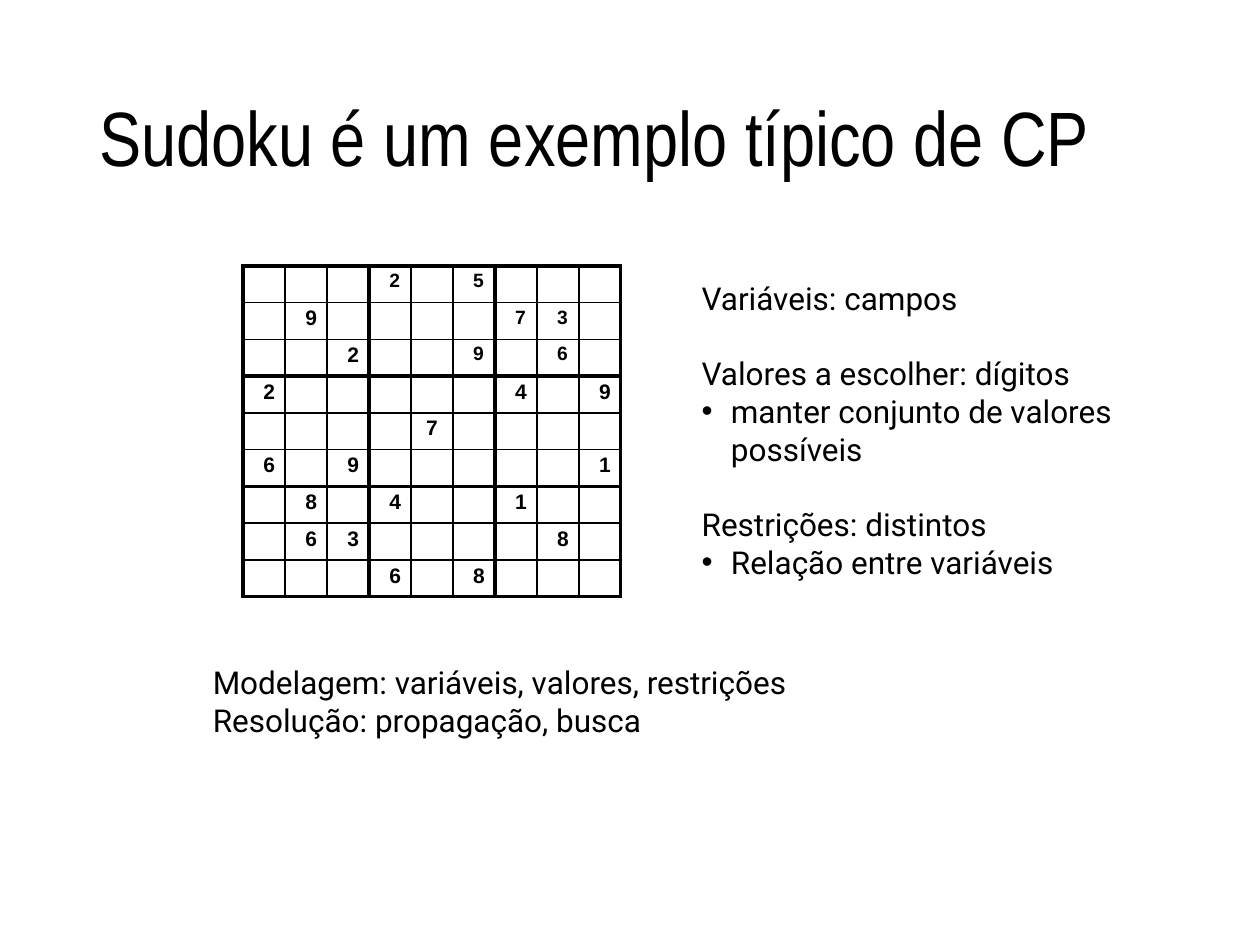
from lxml import etree
from pptx import Presentation
from pptx import util as u
from pptx.dml.color import RGBColor
from pptx.enum import text
from pptx.oxml import ns

INK = "000000"
CLUES = [
    "...2.5...",
    ".9....73.",
    "..2..9.6.",
    "2.....4.9",
    "....7....",
    "6.9.....1",
    ".8.4..1..",
    ".63....8.",
    "...6.8...",
]
# Each group is a heading followed by its bullets
IDEAS = [
    ["Variáveis: campos"],
    ["Valores a escolher: dígitos", "manter conjunto de valores possíveis"],
    ["Restrições: distintos", "Relação entre variáveis"],
]
STEPS = ["Modelagem: variáveis, valores, restrições",
         "Resolução: propagação, busca"]


def tint(code):
    return RGBColor.from_string(code)


def style(par, name, size, bold=False):
    font = par.font
    font.name, font.size, font.bold = name, u.Pt(size), bold
    font.color.rgb = tint(INK)


def place(shape, box):
    shape.left, shape.top, shape.width, shape.height = map(u.Cm, box)


def tag(parent, name, **attrs):
    return etree.SubElement(parent, ns.qn(name), **attrs)


def add_title(slide, box):
    title = slide.shapes.title
    place(title, box)
    frame = title.text_frame
    frame.text = "Sudoku é um exemplo típico de CP"
    frame.auto_size = text.MSO_AUTO_SIZE.NONE
    frame.vertical_anchor = text.MSO_ANCHOR.MIDDLE
    par = frame.paragraphs[0]
    par.alignment = text.PP_ALIGN.LEFT
    par.line_spacing = 0.9
    style(par, "Arial Narrow", 44)


def rule_cell(cell, row, col):
    """Heavy lines around each 3 by 3 block, thin lines inside it."""
    props = cell._tc.get_or_add_tcPr()
    heavy = {"L": col % 3 == 0, "R": col % 3 == 2,
             "T": row % 3 == 0, "B": row % 3 == 2}
    for side, thick in heavy.items():
        line = tag(props, f"a:ln{side}", w=str(u.Pt(2.25 if thick else 1)))
        tag(tag(line, "a:solidFill"), "a:srgbClr", val=INK)
    cell.fill.background()


def add_grid(slide, box):
    count = len(CLUES)
    table = slide.shapes.add_table(count, count, *map(u.Cm, box)).table
    table.first_row = table.horz_banding = False
    for col in table.columns:
        col.width = u.Cm(box[2] / count)
    for row, clues in enumerate(CLUES):
        table.rows[row].height = u.Cm(box[3] / count)
        for col, clue in enumerate(clues):
            cell = table.cell(row, col)
            cell.margin_left = cell.margin_right = cell.margin_bottom = 0
            cell.margin_top = u.Cm(0.08)
            rule_cell(cell, row, col)
            cell.text = clue.strip(".")
            par = cell.text_frame.paragraphs[0]
            if not cell.text:
                # Keeps empty cells from stretching the row
                par._p.get_or_add_endParaRPr().set("sz", "1100")
                continue
            par.space_before = u.Pt(3.2)
            if row == col == count // 2:
                par.alignment = text.PP_ALIGN.CENTER
            else:
                par._p.get_or_add_pPr().set("marL", str(u.Cm(0.41)))
            style(par, "Arial", 11 if row < 3 <= col else 12, bold=True)


def add_ideas(slide, box):
    body = slide.placeholders[1]
    place(body, box)
    frame = body.text_frame
    frame.auto_size = text.MSO_AUTO_SIZE.NONE
    frame.text = "\n".join(line for group in IDEAS for line in group)
    pars = iter(frame.paragraphs)
    for rank, group in enumerate(IDEAS):
        for item in range(len(group)):
            par = next(pars)
            props = par._p.get_or_add_pPr()
            hang = u.Cm(0.59) if item else 0
            props.set("marL", str(hang))
            props.set("indent", str(-hang))
            if item:
                tag(props, "a:buFont", typeface="Arial")
                tag(props, "a:buChar", char="•")
            else:
                tag(props, "a:buNone")
            par.space_before = u.Pt(21.5 if rank and not item else 0)
            style(par, "Roboto", 18)


def add_steps(slide, box):
    frame = slide.shapes.add_textbox(*map(u.Cm, box)).text_frame
    frame.word_wrap = True
    frame.margin_left = frame.margin_right = frame.margin_bottom = 0
    frame.text = "\n".join(STEPS)
    for par in frame.paragraphs:
        par.space_before = u.Pt(0.2)
        style(par, "Roboto", 18)


def main():
    deck = Presentation()
    deck.slide_width, deck.slide_height = u.Cm(25.4), u.Cm(19.05)
    slide = deck.slides.add_slide(deck.slide_layouts[1])
    add_title(slide, (1.75, 1.02, 21.9, 3.68))
    add_grid(slide, (4.9, 5.36, 7.62, 6.67))
    add_ideas(slide, (13.89, 5.49, 9.98, 6.4))
    add_steps(slide, (4.29, 13.24, 16.8, 1.72))
    deck.save("out.pptx")


if __name__ == "__main__":
    main()
